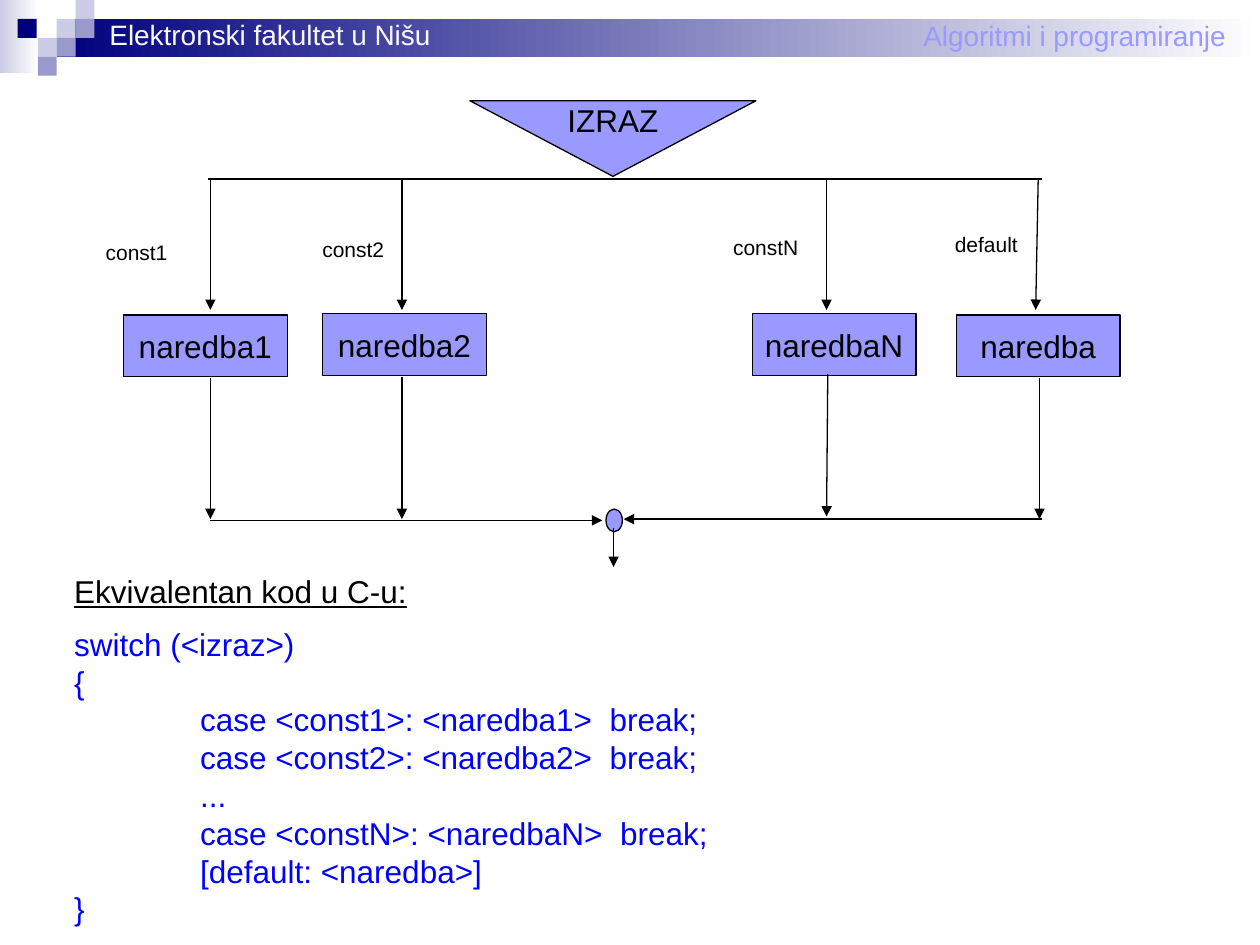
from typing import NamedTuple

from pptx import Presentation
from pptx.dml.color import RGBColor
from pptx.enum.shapes import MSO_CONNECTOR, MSO_SHAPE as Shape
from pptx.enum.text import MSO_ANCHOR, MSO_AUTO_SIZE, PP_ALIGN
from pptx.oxml.ns import qn
from pptx.util import Inches, Pt
from lxml.etree import SubElement

BLACK = RGBColor(0x00, 0x00, 0x00)
WHITE = RGBColor(0xFF, 0xFF, 0xFF)
OFF_WHITE = RGBColor(0xF8, 0xF8, 0xF8)
NAVY = RGBColor(0x00, 0x00, 0x7D)
PALE = RGBColor(0xCC, 0xCC, 0xE6)
MID = RGBColor(0x99, 0x99, 0xCC)
VIOLET = RGBColor(0x99, 0x99, 0xFF)
BLUE = RGBColor(0x00, 0x00, 0xFF)

BUS_Y = 1.42
BOX_W, BOX_H = 1.3, 0.49


class Square(NamedTuple):
    x: float
    y: float
    color: RGBColor


class Branch(NamedTuple):
    label: str
    label_x: float
    label_y: float
    label_w: float
    statement: str
    box_x: float
    box_y: float
    entry: tuple[float, float]  # x at the bus, x at the arrowhead
    leave: tuple[float, float, float, float]  # x1, y1, x2, y2


SQUARES = [
    Square(0.45, 0.15, PALE), Square(0.6, 0, PALE), Square(0.6, 0.15, MID),
    Square(0.3, 0.3, PALE), Square(0.14, 0.15, NAVY), Square(0.45, 0.3, MID),
    Square(0.3, 0.45, MID),
]

BRANCHES = [
    Branch("const1", 0.74, 1.85, 0.69, "naredba1", 0.98, 2.5,
           (1.67, 1.67), (1.67, 3, 1.67, 4.12)),
    Branch("const2", 2.46, 1.83, 0.69, "naredba2", 2.56, 2.49,
           (3.19, 3.19), (3.19, 2.99, 3.19, 4.12)),
    Branch("constN", 5.72, 1.81, 0.72, "naredbaN", 5.97, 2.49,
           (6.56, 6.56), (6.57, 2.97, 6.56, 4.1)),
    Branch("default", 7.48, 1.79, 0.7, "naredba", 7.59, 2.5,
           (8.24, 8.22), (8.25, 3, 8.25, 4.12)),
]

CODE = [
    "switch (<izraz>)",
    "{",
    "\tcase <const1>: <naredba1>  break;",
    "\tcase <const2>: <naredba2>  break;",
    "\t...",
    "\tcase <constN>: <naredbaN>  break;",
    "\t[default: <naredba>]",
    "}",
]


def write(p, text: str, *, size: float = 18, color: RGBColor = BLACK,
          align=PP_ALIGN.LEFT, underline: bool = False, spacing: float = 1.0,
          tab: float = 0):
    p.alignment = align
    p.line_spacing = spacing
    if tab:
        tabs = SubElement(p._p.get_or_add_pPr(), qn("a:tabLst"))
        SubElement(tabs, qn("a:tab"), pos=str(Inches(tab)), algn="l")
    r = p.add_run()
    r.text = text
    r.font.name = "Arial"
    r.font.size = Pt(size)
    r.font.color.rgb = color
    r.font.underline = underline


def add_text(s, x: float, y: float, w: float, h: float, text: str, **fmt):
    tf = s.shapes.add_textbox(Inches(x), Inches(y), Inches(w), Inches(h)).text_frame
    tf.word_wrap = False
    tf.auto_size = MSO_AUTO_SIZE.SHAPE_TO_FIT_TEXT
    write(tf.paragraphs[0], text, **fmt)
    return tf


def add_block(s, kind, x: float, y: float, w: float, h: float, color: RGBColor):
    sp = s.shapes.add_shape(kind, Inches(x), Inches(y), Inches(w), Inches(h))
    sp.shadow.inherit = False
    sp.fill.solid()
    sp.fill.fore_color.rgb = color
    sp.line.fill.background()
    return sp


def add_fade(s, x: float, y: float, w: float, h: float, color: RGBColor):
    """Rectangle fading from the colour on the left to white."""
    sp = add_block(s, Shape.RECTANGLE, x, y, w, h, color)
    sp.fill.gradient()
    sp.fill.gradient_angle = 0
    for stop, stop_color, position in zip(sp.fill.gradient_stops, (color, WHITE), (0, 1)):
        stop.color.rgb = stop_color
        stop.position = position


def add_node(s, kind, x: float, y: float, w: float, h: float, text: str = ""):
    """Outlined flowchart symbol."""
    sp = add_block(s, kind, x, y, w, h, VIOLET)
    sp.line.color.rgb = BLACK
    sp.line.width = Pt(0.75)
    if text:
        tf = sp.text_frame
        tf.word_wrap = False
        tf.vertical_anchor = MSO_ANCHOR.MIDDLE
        write(tf.paragraphs[0], text, align=PP_ALIGN.CENTER)


def add_line(s, x1: float, y1: float, x2: float, y2: float, arrow: bool = True):
    line = s.shapes.add_connector(
        MSO_CONNECTOR.STRAIGHT, Inches(x1), Inches(y1), Inches(x2), Inches(y2))
    line.line.color.rgb = BLACK
    line.line.width = Pt(0.75)
    if arrow:
        SubElement(line.line._get_or_add_ln(), qn("a:tailEnd"), type="triangle")
    SubElement(line._element.spPr, qn("a:effectLst"))


def add_header(s):
    add_fade(s, 0, 0, 0.31, 0.58, PALE)
    add_fade(s, 0.45, 0.15, 9.55, 0.3, NAVY)
    for square in SQUARES:
        add_block(s, Shape.RECTANGLE, square.x, square.y, 0.15, 0.15, square.color)
    add_text(s, 7.23, 0.1, 2.6, 0.37, "Algoritmi i programiranje", size=16, color=VIOLET)
    add_text(s, 0.77, 0.09, 2.75, 0.37, "Elektronski fakultet u Nišu",
             size=16, color=OFF_WHITE)


def add_branch(s, b: Branch):
    add_node(s, Shape.FLOWCHART_PROCESS, b.box_x, b.box_y, BOX_W, BOX_H, b.statement)
    start, end = b.entry
    add_line(s, start, BUS_Y, end, 2.46)
    add_line(s, *b.leave)
    add_text(s, b.label_x, b.label_y, b.label_w, 0.3, b.label, size=12)


def add_flowchart(s):
    add_node(s, Shape.FLOWCHART_MERGE, 3.73, 0.8, 2.27, 0.6, "IZRAZ")
    add_line(s, 1.65, BUS_Y, 8.27, BUS_Y, arrow=False)
    for branch in BRANCHES:
        add_branch(s, branch)
    add_node(s, Shape.FLOWCHART_CONNECTOR, 4.81, 4.04, 0.13, 0.18)
    add_line(s, 1.67, 4.13, 4.78, 4.13)
    add_line(s, 8.27, 4.12, 4.95, 4.12)
    add_line(s, 4.87, 4.19, 4.87, 4.5)


def add_code(s):
    tf = add_text(s, 0.49, 4.49, 5.23, 2.92, "Ekvivalentan kod u C-u:", underline=True)
    for i, row in enumerate(CODE):
        write(tf.add_paragraph(), row, color=BLUE, spacing=1.0 if i else 1.4, tab=1)


def main():
    prs = Presentation()
    prs.slide_width, prs.slide_height = Inches(10), Inches(7.5)
    s = prs.slides.add_slide(prs.slide_layouts[6])
    add_header(s)
    add_flowchart(s)
    add_code(s)
    prs.save("out.pptx")


if __name__ == "__main__":
    main()
